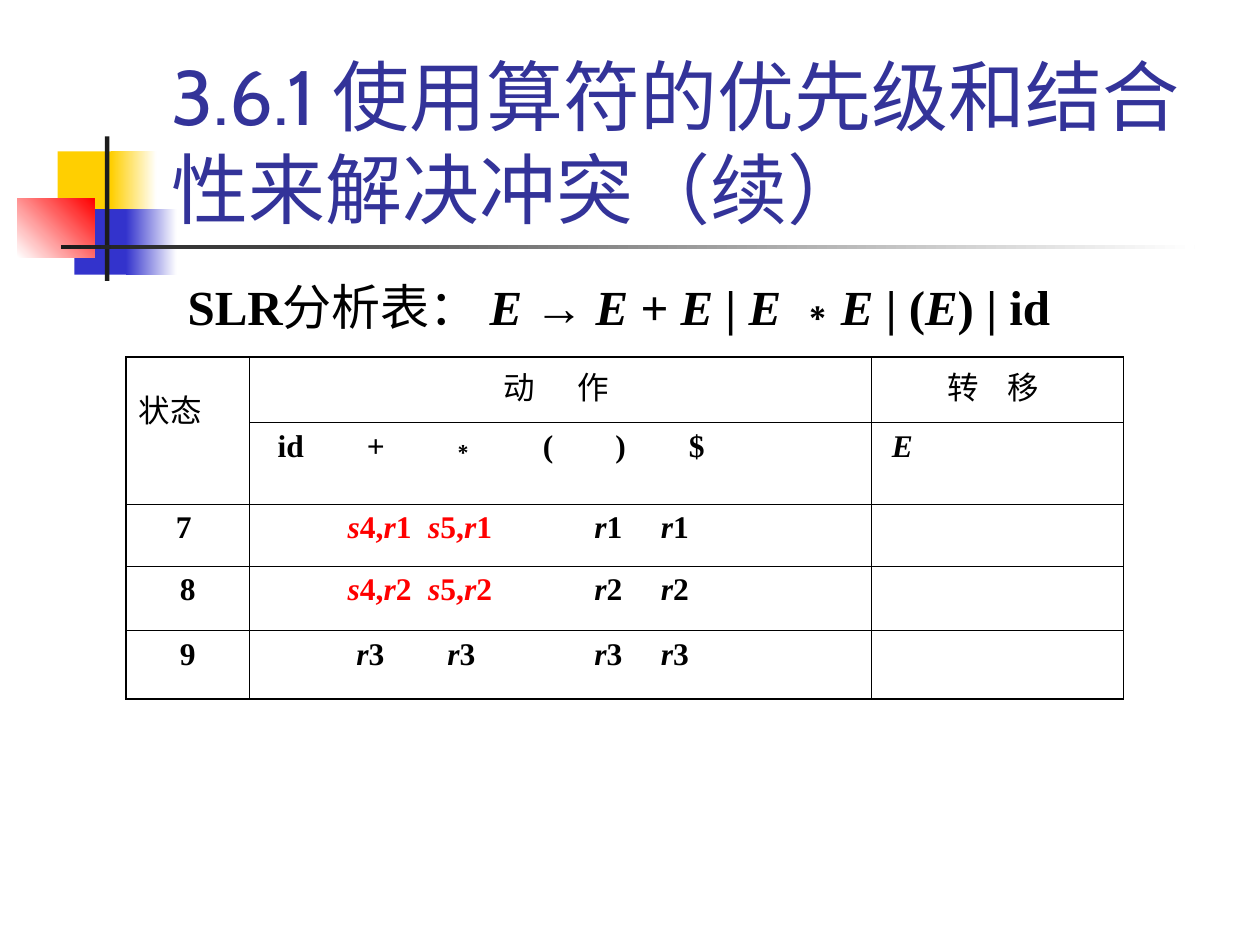
from itertools import groupby
from lxml import etree
from pptx import Presentation
from pptx.dml.color import RGBColor
from pptx.enum.shapes import MSO_SHAPE as Shape
from pptx.enum.text import MSO_ANCHOR as Anchor, PP_ALIGN as Align
from pptx.oxml import parse_xml
from pptx.oxml.ns import nsdecls, qn
from pptx.util import Pt

color = RGBColor.from_string
CJK_FONT = "Noto Sans CJK SC"


def char_style(char):
    """Return font, bold and italic: grammar symbols and actions are italic."""
    if ord(char) > 0x2E80:
        return CJK_FONT, False, False
    if char in "∗→":
        return "Arial", True, False
    return "Times New Roman", True, char in "Ers"


def write(paragraph, text, size, ink="000000"):
    for (font, bold, italic), chars in groupby(text, char_style):
        run = paragraph.add_run()
        run.text = "".join(chars)
        run.font.size = Pt(size)
        run.font.name = font
        run.font.bold = bold
        run.font.italic = italic
        run.font.color.rgb = color(ink)
        etree.SubElement(run.font._element, qn("a:ea"), typeface=CJK_FONT)


prs = Presentation()
prs.slide_width, prs.slide_height = Pt(720), Pt(540)
slide = prs.slides.add_slide(prs.slide_layouts[6])

# Corner ornament and title rule: left, top, width, height, colours, angle
ornament = [
    (33, 86.5, 34.5, 37.5, ["FFCF01"], 0),
    (63.5, 86.5, 26, 37.5, ["FFCF01", "FFFFFF"], 0),
    (42.5, 119.5, 33, 37.5, ["3333CC"], 0),
    (72, 119.5, 29, 37.5, ["3333CC", "FFFFFF"], 0),
    (10, 113.5, 44, 33.5, ["FFFFFF", "FF0000"], 45),
    (60, 78, 2.5, 82.5, ["1C1C1C"], 0),
    (34.75, 140, 648, 2.5, ["1C1C1C", "FFFFFF"], 0),
]
for left, top, width, height, colors, angle in ornament:
    block = slide.shapes.add_shape(Shape.RECTANGLE, Pt(left), Pt(top), Pt(width), Pt(height))
    block.shadow.inherit = False
    block.line.fill.background()
    if len(colors) == 1:
        block.fill.solid()
        block.fill.fore_color.rgb = color(colors[0])
    else:
        block.fill.gradient()
        block.fill.gradient_angle = angle
        for stop, shade in zip(block.fill.gradient_stops, colors):
            stop.color.rgb = color(shade)

# Title
title = slide.shapes.add_textbox(Pt(91), Pt(16.5), Pt(613), Pt(117)).text_frame
title.word_wrap = True
title.vertical_anchor = Anchor.BOTTOM
title.margin_bottom = 0
heading = title.paragraphs[0]
heading.text = "3.6.1 使用算符的优先级和结合性来解决冲突（续）"
heading.line_spacing = Pt(53)
heading.runs[0].font.size = Pt(44)
heading.runs[0].font.name = "Cabin"
heading.runs[0].font.color.rgb = color("333399")
etree.SubElement(heading.runs[0].font._element, qn("a:ea"), typeface=CJK_FONT)

# Grammar line
grammar = slide.shapes.add_textbox(Pt(93), Pt(154.5), Pt(597), Pt(48)).text_frame
grammar.word_wrap = True
grammar.margin_left = Pt(14.2)
write(grammar.paragraphs[0], "SLR分析表： E → E + E | E ∗ E | (E) | id", 28)

# Parsing table: text pieces with their colour, tab stops in points
BLACK, RED = "000000", "FF0000"
actions = [49, 95, 190, 228]
cells = {
    (0, 0): ([("状态", BLACK)], []),
    (0, 1): ([("\t动\t作", BLACK)], [138, 180.5]),
    (0, 2): ([("\t转\t移", BLACK)], [36.5, 70.5]),
    (1, 1): ([("\tid\t+\t∗\t(\t)\t$", BLACK)], [9, 60, 106, 160.5, 202, 244]),
    (1, 2): ([("\tE", BLACK)], [4.5]),
    (2, 0): ([("7 ", BLACK)], []),
    (2, 1): ([("\ts4,r1\ts5,r1", RED), ("\tr1\tr1", BLACK)], actions),
    (3, 0): ([("8", BLACK)], []),
    (3, 1): ([("\ts4,r2\ts5,r2", RED), ("\tr2\tr2", BLACK)], actions),
    (4, 0): ([("9", BLACK)], []),
    (4, 1): ([("\tr3\tr3\tr3\tr3", BLACK)], [54, 106, 190, 228]),
}
widths = [70.5, 355.5, 144]
heights = [37.5, 46.5, 35.5, 37, 39]
table = slide.shapes.add_table(5, 3, Pt(72), Pt(204), Pt(sum(widths)), Pt(sum(heights))).table
table.first_row = table.horz_banding = False
for column, width in zip(table.columns, widths):
    column.width = Pt(width)
for row, height in zip(table.rows, heights):
    row.height = Pt(height)
table.cell(0, 0).merge(table.cell(1, 0))

for r in range(5):
    for c in range(3):
        cell = table.cell(r, c)
        cell.fill.background()
        # Heavier lines around the outside
        outer = {"L": c == 0, "R": c == 2, "T": r == 0, "B": r == 4}
        for place, (side, heavy) in enumerate(outer.items()):
            cell._tc.get_or_add_tcPr().insert(place, parse_xml(
                f'<a:ln{side} {nsdecls("a")} w="{Pt(1.08 if heavy else 0.45)}">'
                f'<a:solidFill><a:srgbClr val="{BLACK}"/></a:solidFill></a:ln{side}>'))
        if (r, c) not in cells:
            continue
        pieces, stops = cells[r, c]
        entry = cell.text_frame.paragraphs[0]
        if stops:
            tabs = etree.SubElement(entry._p.get_or_add_pPr(), qn("a:tabLst"))
            for stop in stops:
                etree.SubElement(tabs, qn("a:tab"), pos=str(Pt(stop)), algn="l")
        elif r > 0:
            entry.alignment = Align.CENTER
        else:
            entry.line_spacing = 1.5
        for text, ink in pieces:
            write(entry, text, 18, ink)

prs.save("out.pptx")
